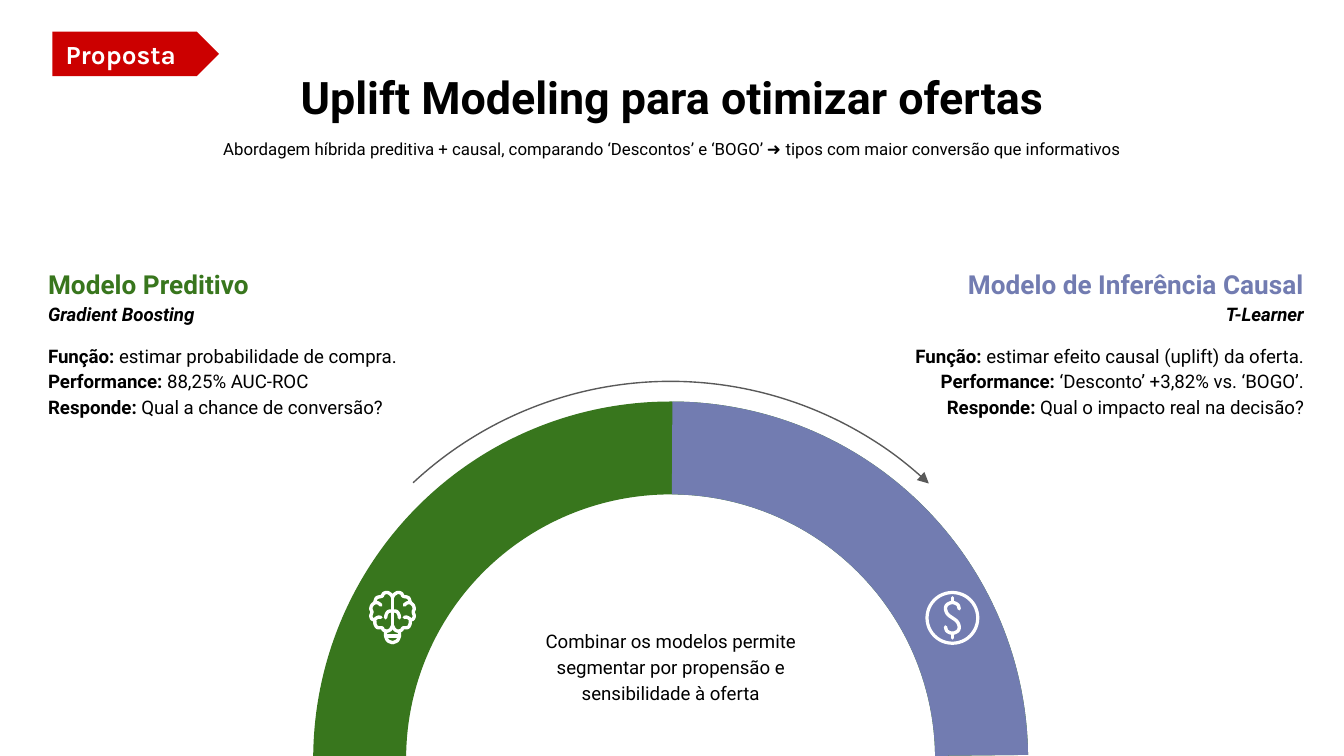
"""Builds the uplift modeling proposal slide."""
from lxml.etree import SubElement
from pptx import Presentation
from pptx.dml.color import RGBColor
from pptx.enum.shapes import MSO_SHAPE as Shape
from pptx.enum.text import MSO_ANCHOR as Anchor, PP_ALIGN as Align
from pptx.oxml.ns import qn
from pptx.util import Cm, Pt

BLACK = RGBColor(0x00, 0x00, 0x00)
WHITE = RGBColor(0xFF, 0xFF, 0xFF)
GREEN = RGBColor(0x38, 0x76, 0x1D)
LILAC = RGBColor(0x72, 0x7C, 0xB1)
RED = RGBColor(0xCC, 0x00, 0x00)
GRAY = RGBColor(0x59, 0x59, 0x59)

BRAIN_HALF = [
    [(0, -.39), (.03, -.44), (.1, -.48), (.17, -.46), (.2, -.41), (.3, -.38), (.34, -.29),
     (.39, -.24), (.41, -.17), (.39, -.11), (.41, -.04), (.39, .02), (.34, .05), (.33, .12),
     (.29, .18), (.2, .19), (.17, .23), (.1, .25), (.04, .22), (0, .15)],
    [(0, -.39), (0, .15)],
    [(0, -.13), (.08, -.12), (.12, -.06), (.13, 0)],
    [(.34, .03), (.28, -.01), (.22, -.01)],
    [(.33, -.29), (.27, -.28), (.22, -.24)],
    [(.13, .25), (.13, .34), (.09, .43), (0, .47)],
    [(0, .34), (.13, .34)],
]
DOLLAR_HALF = [
    [(0, 0), (.09, .07), (.13, .17), (.1, .25), (0, .29), (-.1, .25), (-.13, .17)],
    [(0, .29), (0, .38)],
]


def write(frame, paragraphs, align, spacing=1.15):
    """Fill a text frame with paragraphs of (text, size, color, bold, italic, font) runs."""
    frame.word_wrap = True
    frame.vertical_anchor = Anchor.MIDDLE
    frame.margin_left = frame.margin_right = Cm(0.25)
    frame.margin_top = frame.margin_bottom = Cm(0.25)
    for index, runs in enumerate(paragraphs):
        para = frame.paragraphs[0] if index == 0 else frame.add_paragraph()
        para.alignment = align
        para.line_spacing = spacing
        for text, size, color, bold, italic, font in runs:
            span = para.add_run()
            span.text = text
            span.font.name = font
            span.font.size = Pt(size)
            span.font.bold = bold
            span.font.italic = italic
            span.font.color.rgb = color


def run(text, size=10, color=BLACK, bold=False, italic=False, font="Roboto"):
    """Describe one run of text."""
    return text, size, color, bold, italic, font


def add_text(page, left, top, width, height, paragraphs, align=Align.CENTER):
    """Add a text box."""
    box = page.shapes.add_textbox(Cm(left), Cm(top), Cm(width), Cm(height))
    write(box.text_frame, paragraphs, align)


def add_filled(page, kind, left, top, width, height, color, adjustments):
    """Add a flat preset shape without outline."""
    shape = page.shapes.add_shape(kind, Cm(left), Cm(top), Cm(width), Cm(height))
    shape.shadow.inherit = False
    shape.fill.solid()
    shape.fill.fore_color.rgb = color
    shape.line.fill.background()
    for index, value in enumerate(adjustments):
        shape.adjustments[index] = value
    return shape


def add_half_ring(page, color, start, end):
    """Add a ring segment between two angles in degrees."""
    add_filled(page, Shape.BLOCK_ARC, 5.92, 7.59, 13.51, 13.51, color,
               [start * 0.6, end * 0.6, 0.13])


def add_curved_arrow(page):
    """Add the thin arrow that runs above the ring."""
    arc = page.shapes.add_shape(Shape.ARC, Cm(5.54), Cm(7.21), Cm(14.27), Cm(14.27))
    arc.shadow.inherit = False
    arc.fill.background()
    arc.line.color.rgb = GRAY
    arc.line.width = Pt(0.75)
    arc.adjustments[0] = 227 * 0.6
    arc.adjustments[1] = 313.16 * 0.6
    SubElement(arc.element.spPr.find(qn("a:ln")), qn("a:tailEnd"), type="triangle")


def smooth(points, steps=6):
    """Return a Catmull-Rom curve through the points."""
    padded = [points[0], *points, points[-1]]
    curve = [points[0]]
    for a, b, c, d in zip(padded, padded[1:], padded[2:], padded[3:]):
        for step in range(1, steps + 1):
            t = step / steps
            curve.append(tuple(
                q + t / 2 * (r - p + t * (2 * p - 5 * q + 4 * r - s + t * (3 * (q - r) + s - p)))
                for p, q, r, s in zip(a, b, c, d)))
    return curve


def add_line_icon(page, center_x, center_y, half, turns):
    """Draw half an icon once for each (x, y) sign pair, as one white outline."""
    builder = page.shapes.build_freeform(Cm(center_x), Cm(center_y))
    for sign_x, sign_y in turns:
        for stroke in half:
            points = [(Cm(center_x + sign_x * x), Cm(center_y + sign_y * y))
                      for x, y in smooth(stroke)]
            builder.move_to(*points[0])
            builder.add_line_segments(points[1:], close=False)
    icon = builder.convert_to_shape()
    icon.shadow.inherit = False
    icon.fill.background()
    icon.line.color.rgb = WHITE
    icon.line.width = Pt(1.8)
    icon.element.spPr.find(qn("a:ln")).set("cap", "rnd")


def add_model(page, right, heading_width, color, name, method, facts, align):
    """Add a model heading and its labelled facts, ending at the right edge."""
    add_text(page, right - heading_width, 5, heading_width, 1.14,
             [[run(name, 14, color, True)], [run(method, bold=True, italic=True)]], align)
    add_text(page, right - 8.76, 6.38, 8.76, 1.6,
             [[run(label + " ", bold=True), run(fact)] for label, fact in facts], align)


def main():
    """Build and save the slide."""
    deck = Presentation()
    deck.slide_width, deck.slide_height = Cm(25.4), Cm(14.29)
    page = deck.slides.add_slide(deck.slide_layouts[6])

    add_curved_arrow(page)
    add_half_ring(page, GREEN, 180, 359.36)
    add_half_ring(page, LILAC, 270.28, 359.36)

    add_text(page, 5.36, 1.07, 14.68, 1.35,
             [[run("Uplift Modeling para otimizar ofertas", 24, bold=True)]])
    add_text(page, 3.81, 2.39, 17.75, 0.79,
             [[run("Abordagem híbrida preditiva + causal, comparando ‘Descontos’ e ‘BOGO’ ➜ "
                   "tipos com maior conversão que informativos", 9)]])
    add_text(page, 9.22, 11.68, 6.91, 1.8,
             [[run("Combinar os modelos permite segmentar por propensão e "
                   "sensibilidade à oferta")]])

    add_model(page, 9.42, 8.76, GREEN, "Modelo Preditivo", "Gradient Boosting",
              [("Função:", "estimar probabilidade de compra."),
               ("Performance:", "88,25% AUC-ROC"),
               ("Responde:", "Qual a chance de conversão?")], Align.LEFT)
    add_model(page, 24.89, 6.91, LILAC, "Modelo de Inferência Causal", "T-Learner",
              [("Função:", "estimar efeito causal (uplift) da oferta."),
               ("Performance:", "‘Desconto’ +3,82% vs. ‘BOGO’."),
               ("Responde:", "Qual o impacto real na decisão?")], Align.RIGHT)

    add_line_icon(page, 7.42, 11.68, BRAIN_HALF, [(1, 1), (-1, 1)])
    add_line_icon(page, 18, 11.68, DOLLAR_HALF, [(1, 1), (-1, -1)])
    add_filled(page, Shape.DONUT, 17.49, 11.17, 1.02, 1.02, WHITE, [0.06])

    tag = add_filled(page, Shape.PENTAGON, 0.99, 0.6, 3.15, 0.84, RED, [0.5])
    write(tag.text_frame, [[run("Proposta", 14, WHITE, True, font="Karla")]], Align.LEFT, 1)

    deck.save("out.pptx")


if __name__ == "__main__":
    main()
